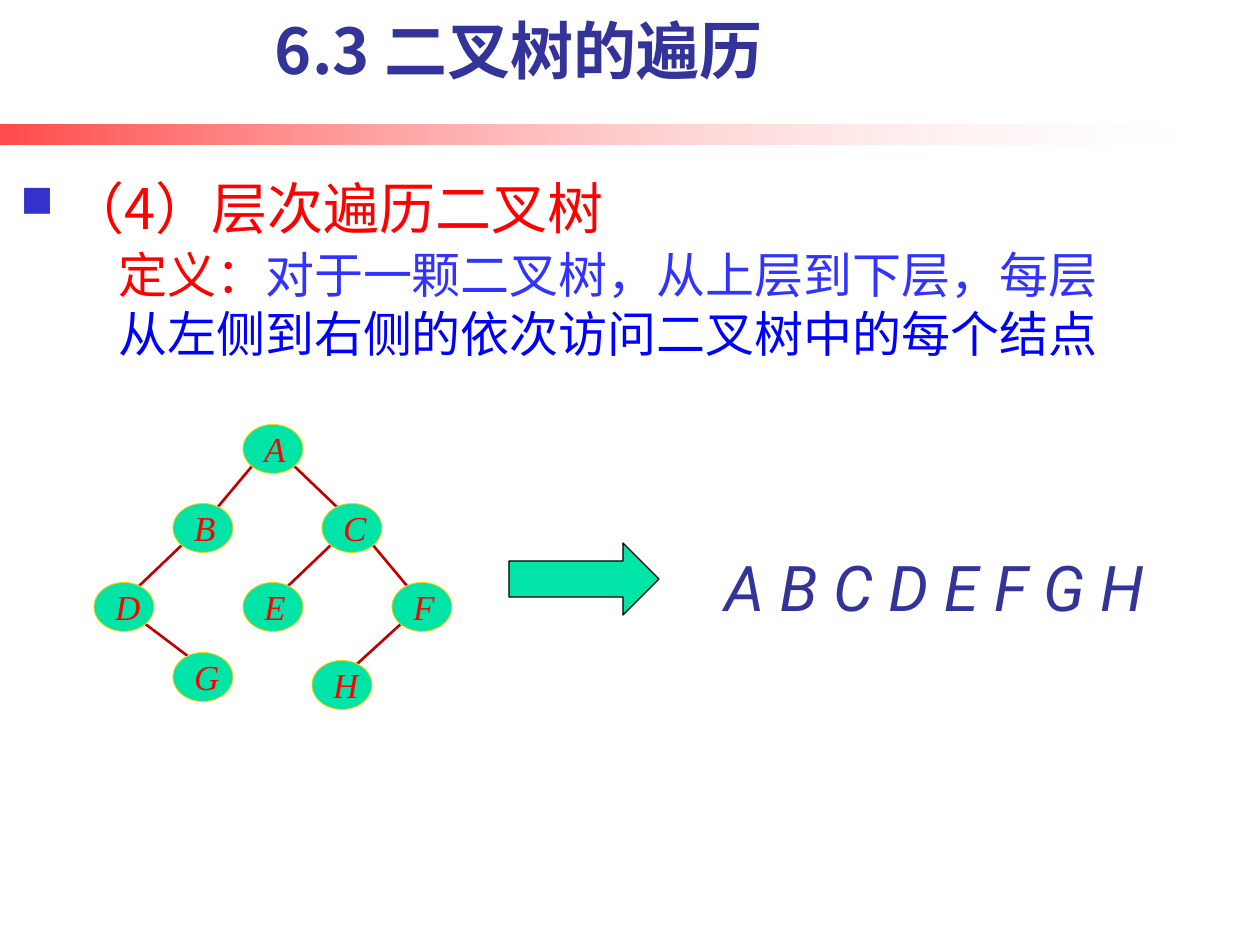
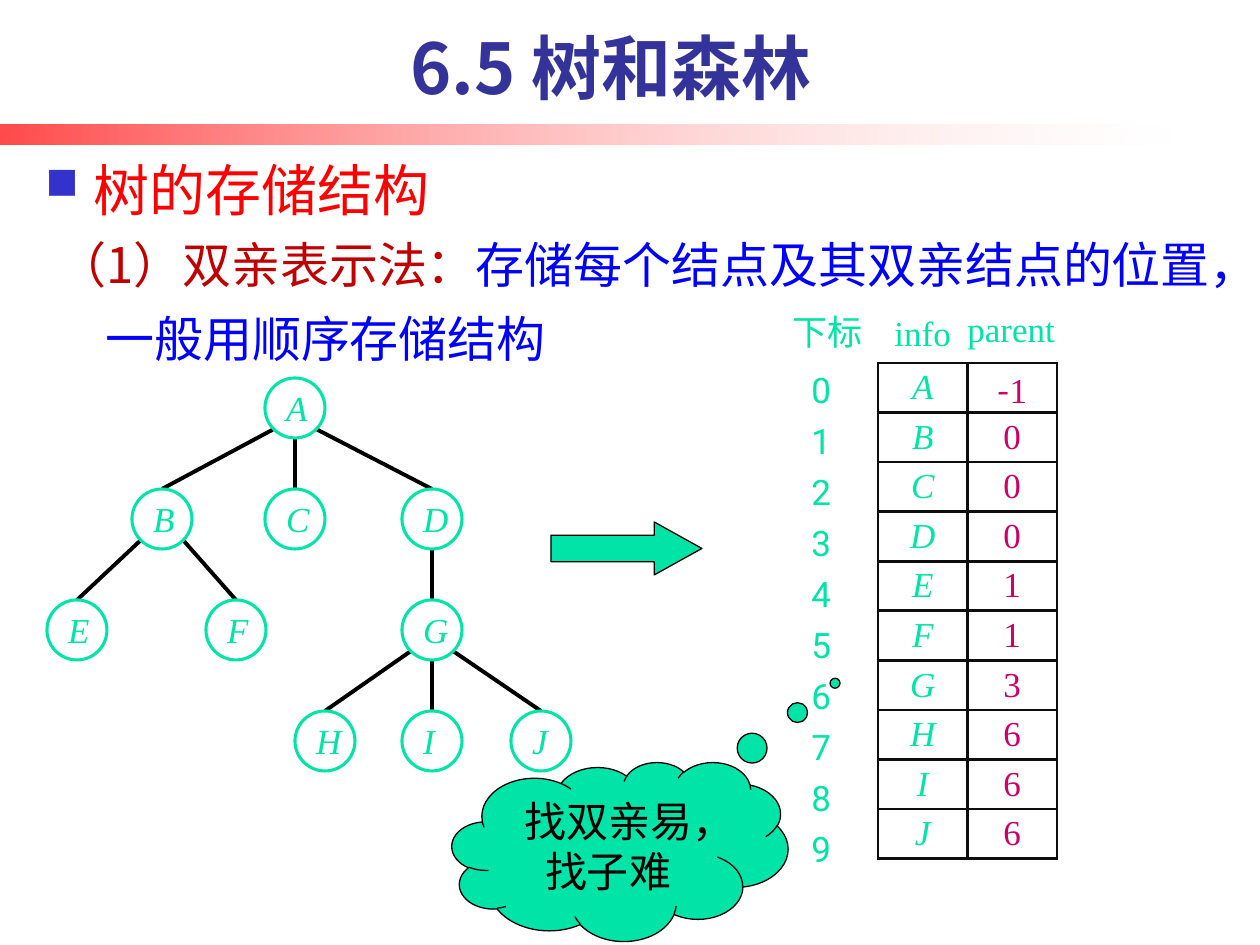
import pptx
import pptx.util
import pptx.dml.color
import pptx.enum.shapes
import pptx.enum.text
import pptx.oxml
import pptx.oxml.ns

RGB = pptx.dml.color.RGBColor
SHAPE = pptx.enum.shapes.MSO_SHAPE
ALIGN = pptx.enum.text.PP_ALIGN
ANCHOR = pptx.enum.text.MSO_ANCHOR
qn = pptx.oxml.ns.qn

EMU_PER_PX = 914400 / 126

RED = RGB(0xFF, 0x00, 0x00)
DARK_RED = RGB(0xC0, 0x00, 0x00)
BLUE = RGB(0x00, 0x00, 0xFF)
LIGHT_BLUE = RGB(0x33, 0x33, 0xFF)
BULLET_BLUE = RGB(0x33, 0x33, 0xCC)
NAVY = RGB(0x33, 0x33, 0x99)
GREEN = RGB(0x00, 0xE4, 0xA8)
YELLOW = RGB(0xFF, 0xCF, 0x01)
MAGENTA = RGB(0xCC, 0x00, 0x66)
BLACK = RGB(0x00, 0x00, 0x00)
NEAR_BLACK = RGB(0x0D, 0x0D, 0x0D)
WHITE = RGB(0xFF, 0xFF, 0xFF)

CJK = "Noto Sans CJK SC"
SANS = "Roboto"
SERIF = "Times New Roman"


def px(n):
    return pptx.util.Emu(round(n * EMU_PER_PX))


def add_xml(parent, tag, **attrs):
    el = parent.makeelement(qn(tag), {k: str(v) for k, v in attrs.items()})
    parent.append(el)
    return el


def add_run(p, text, size, color, font=CJK, bold=False, italic=False):
    r = p.add_run()
    r.text = text
    f = r.font
    f.size, f.bold, f.italic = pptx.util.Pt(size), bold, italic
    f.color.rgb = color
    f.name = font
    add_xml(r._r.get_or_add_rPr(), "a:ea", typeface=CJK if font == SANS else font)


def add_text(slide, box, runs, align=ALIGN.LEFT, anchor=ANCHOR.TOP, wrap=True):
    """Add a one-paragraph text box; each run is a tuple of add_run arguments."""
    tf = slide.shapes.add_textbox(*map(px, box)).text_frame
    tf.word_wrap, tf.vertical_anchor = wrap, anchor
    p = tf.paragraphs[0]
    p.alignment = align
    for run in runs:
        add_run(p, *run)
    return p


def hang(p, spacing, indent=48):
    p.line_spacing = spacing
    pPr = p._p.get_or_add_pPr()
    pPr.set("marL", str(px(indent)))
    pPr.set("indent", str(-px(indent)))
    return pPr


def add_shape(slide, kind, box, fill, line, width):
    sp = slide.shapes.add_shape(kind, *map(px, box))
    sp.shadow.inherit = False
    sp.fill.solid()
    sp.fill.fore_color.rgb = fill
    sp.line.color.rgb = line
    sp.line.width = pptx.util.Pt(width)
    return sp


def add_line(slide, start, end, color, width):
    c = slide.shapes.add_connector(pptx.enum.shapes.MSO_CONNECTOR.STRAIGHT,
                                   *map(px, (*start, *end)))
    c.line.color.rgb = color
    c.line.width = pptx.util.Pt(width)
    add_xml(c._element.spPr, "a:effectLst")


def add_band(slide):
    """Red band that fades out to the right."""
    sp = add_shape(slide, SHAPE.RECTANGLE, (0, 125, 1171, 20), RED, RED, 1)
    sp.line.fill.background()
    sp.fill.gradient()
    sp.fill.gradient_angle = 0
    for stop, color, alpha in zip(sp.fill.gradient_stops, (RED, WHITE), (71, 18)):
        stop.color.rgb = color
        add_xml(stop._gs[0], "a:alpha", val=alpha * 1000)


def add_title(slide, box, text, size):
    add_text(slide, box, [(text, size, NAVY, CJK, True)], ALIGN.CENTER, ANCHOR.BOTTOM)


def add_heading(slide, box, text):
    """Red heading with a square bullet."""
    p = add_text(slide, box, [(text, 32, RED)], anchor=ANCHOR.BOTTOM)
    pPr = hang(p, 1.15)
    add_xml(add_xml(pPr, "a:buClr"), "a:srgbClr", val=BULLET_BLUE)
    add_xml(pPr, "a:buSzPct", val=80000)
    add_xml(pPr, "a:buChar", char="■")


def add_tree(slide, origin, node_size, nodes, edges, leave, arrive, style):
    """Draw nodes, given by centre, with edges below them.

    leave and arrive are the offsets of an edge's ends from the parent's and
    the child's centre, for a child to the right; they mirror to the left.
    """
    node_fill, node_line, node_width, text_color, edge_color, edge_width = style
    left, top = origin
    w, h = node_size
    centres = {name: (left + x, top + y) for name, (x, y) in nodes.items()}
    for parent, child in edges.split():
        (x1, y1), (x2, y2) = centres[parent], centres[child]
        side = (x2 > x1) - (x2 < x1)
        drop = leave[1] if side else h / 2
        add_line(slide, (x1 + side * leave[0], y1 + drop),
                 (x2 + side * arrive[0], y2 + arrive[1]), edge_color, edge_width)
    for name, (x, y) in centres.items():
        sp = add_shape(slide, SHAPE.OVAL, (x - w / 2, y - h / 2, w, h),
                       node_fill, node_line, node_width)
        tf = sp.text_frame
        tf.word_wrap, tf.vertical_anchor = False, ANCHOR.MIDDLE
        p = tf.paragraphs[0]
        p.alignment = ALIGN.LEFT
        add_run(p, name, 20, text_color, SERIF, italic=True)


def border_cell(cell):
    tcPr = cell._tc.get_or_add_tcPr()
    for i, tag in enumerate(("a:lnL", "a:lnR", "a:lnT", "a:lnB")):
        ln = tcPr.makeelement(qn(tag), {"w": str(pptx.util.Pt(1.75))})
        add_xml(add_xml(ln, "a:solidFill"), "a:srgbClr", val=NEAR_BLACK)
        tcPr.insert(i, ln)


def add_parent_array(slide, box, info, parents):
    """Table of node and parent index, with headers above and indices beside."""
    left, top, width, height = box
    n = len(info)
    for dx, dy, w, text, font in ((-98, -59, 96, "下标", CJK), (4, -58, 82, "info", SERIF),
                                  (77, -62, 113, "parent", SERIF)):
        add_text(slide, (left + dx, top + dy, w, 55), [(text, 20, GREEN, font)], wrap=False)
    for i in range(n):
        add_text(slide, (left - 79, top - 1 + i * 51, 59, 54), [(str(i), 20, GREEN, SANS)])

    table = slide.shapes.add_table(n, 2, *map(px, box)).table
    table.first_row = table.horz_banding = False
    for col in table.columns:
        col.width = px(width / 2)
    for row, name, parent in zip(table.rows, info, parents):
        row.height = px(height / n)
        for cell, text, color in zip(row.cells, (name, str(parent)), (GREEN, MAGENTA)):
            cell.fill.solid()
            cell.fill.fore_color.rgb = WHITE
            cell.margin_left = cell.margin_right = cell.margin_top = cell.margin_bottom = 0
            cell.vertical_anchor = ANCHOR.MIDDLE
            p = cell.text_frame.paragraphs[0]
            p.alignment = ALIGN.CENTER
            for ch in text:
                add_run(p, ch, 20, color, CJK if ch == "-" else SERIF, italic=color == GREEN)
            border_cell(cell)


def add_callout(slide, box, text):
    sp = add_shape(slide, SHAPE.CLOUD_CALLOUT, box, GREEN, BLACK, 0.75)
    sp.adjustments[0], sp.adjustments[1] = 0.64, -0.94
    sp.text_frame.word_wrap = True
    sp.text_frame.vertical_anchor = ANCHOR.TOP
    p = sp.text_frame.paragraphs[0]
    p.alignment = ALIGN.CENTER
    add_run(p, text, 24, BLACK)


def add_slide(prs):
    slide = prs.slides.add_slide(prs.slide_layouts[6])
    add_band(slide)
    return slide


def build_traversal_slide(prs):
    slide = add_slide(prs)
    add_heading(slide, (8, 158, 651, 89), "（4）层次遍历二叉树")
    add_text(slide, (106, 238, 1042, 131), [
        ("定义：", 28, RED),
        ("对于一颗二叉树，从上层到下层，每层", 28, LIGHT_BLUE, SANS),
        ("从左侧到右侧的依次访问二叉树中的每个结点", 28, BLUE)])
    add_title(slide, (123, 4, 791, 89), "6.3 二叉树的遍历", 36)
    nodes = {"A": (179, 24), "B": (109, 103), "C": (258, 103), "D": (30, 182),
             "E": (179, 182), "F": (328, 182), "G": (109, 252), "H": (248, 260)}
    add_tree(slide, (94, 425), (60, 49), nodes, "AB AC BD CE CF DG FH",
             (20, 16), (-14, -20), (GREEN, YELLOW, 0.5, RED, DARK_RED, 1.5))
    add_text(slide, (712, 542, 476, 89),
             [("A B C D E F G H", 36, NAVY, SANS, False, True)], wrap=False)
    add_shape(slide, SHAPE.RIGHT_ARROW, (509, 543, 150, 72), GREEN, BLACK, 0.75)


def build_storage_slide(prs):
    slide = add_slide(prs)
    add_heading(slide, (33, 140, 1074, 89), "树的存储结构")
    p = add_text(slide, (45, 214, 1184, 129), [
        ("（1）双亲表示法：", 28, DARK_RED),
        ("存储每个结点及其双亲结点的位置，一般用顺序存储结构", 28, BLUE)])
    hang(p, 1.25)
    add_callout(slide, (452, 762, 336, 179), "找双亲易，找子难")
    arrow = add_shape(slide, SHAPE.RIGHT_ARROW, (551, 522, 151, 53), GREEN, BLACK, 0.75)
    arrow.adjustments[1] = 0.9
    add_title(slide, (74, 26, 1074, 89), "6.5 树和森林", 40)
    levels = ({"A": 248}, {"B": 115, "C": 248, "D": 385},
              {"E": 30, "F": 189, "G": 385}, {"H": 278, "I": 385, "J": 494})
    nodes = {name: (x, 30 + 111 * depth)
             for depth, level in enumerate(levels) for name, x in level.items()}
    add_tree(slide, (47, 378), (60, 60), nodes, "AB AC AD BE BF DG GH GI GJ",
             (21, 21), (0, -30), (WHITE, GREEN, 1.75, GREEN, BLACK, 2.25))
    add_parent_array(slide, (878, 363, 179, 496), "ABCDEFGHIJ",
                     (-1, 0, 0, 0, 1, 1, 3, 6, 6, 6))


def main():
    prs = pptx.Presentation()
    prs.slide_width, prs.slide_height = px(1260), px(945)
    build_traversal_slide(prs)
    build_storage_slide(prs)
    prs.save("out.pptx")


if __name__ == "__main__":
    main()
